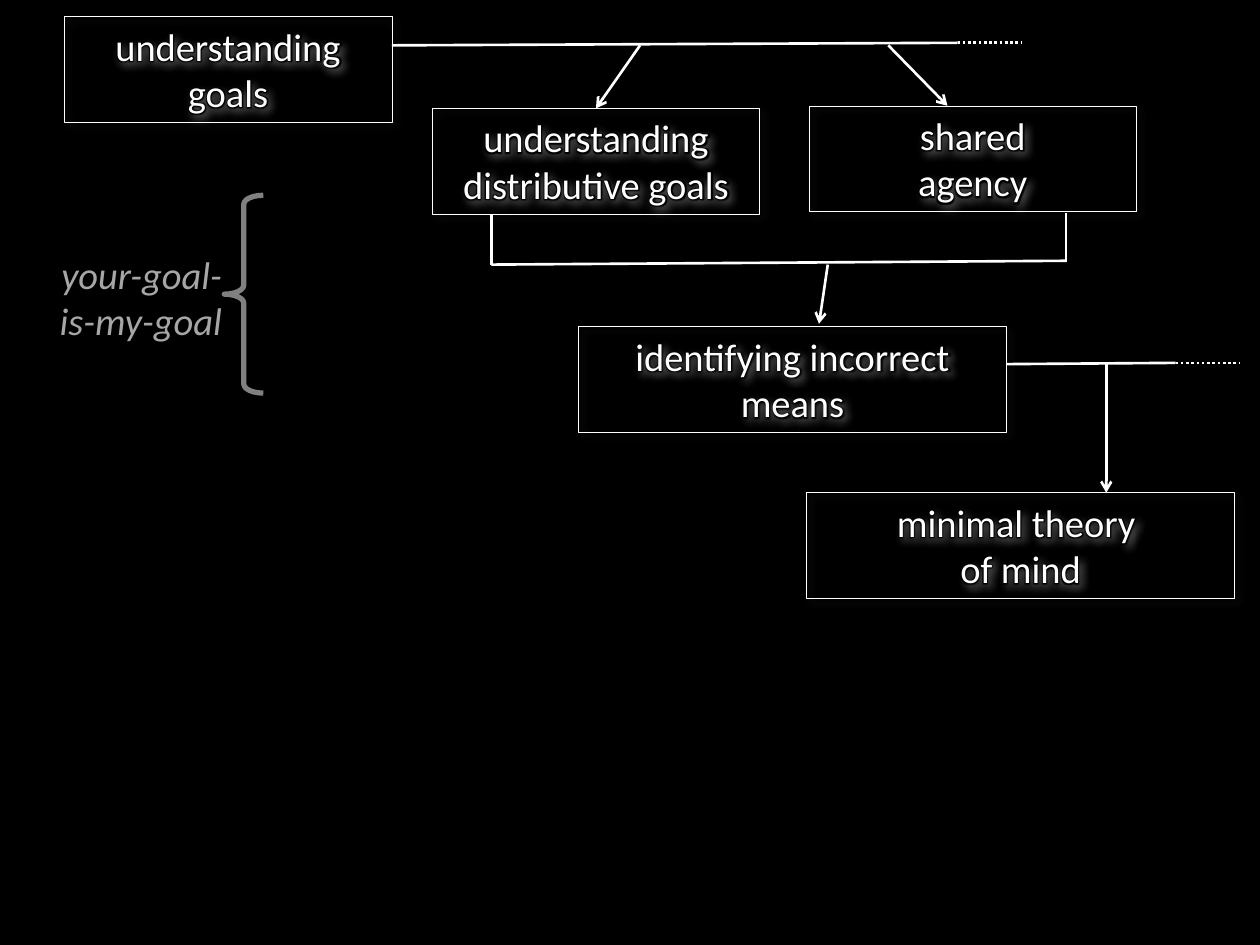
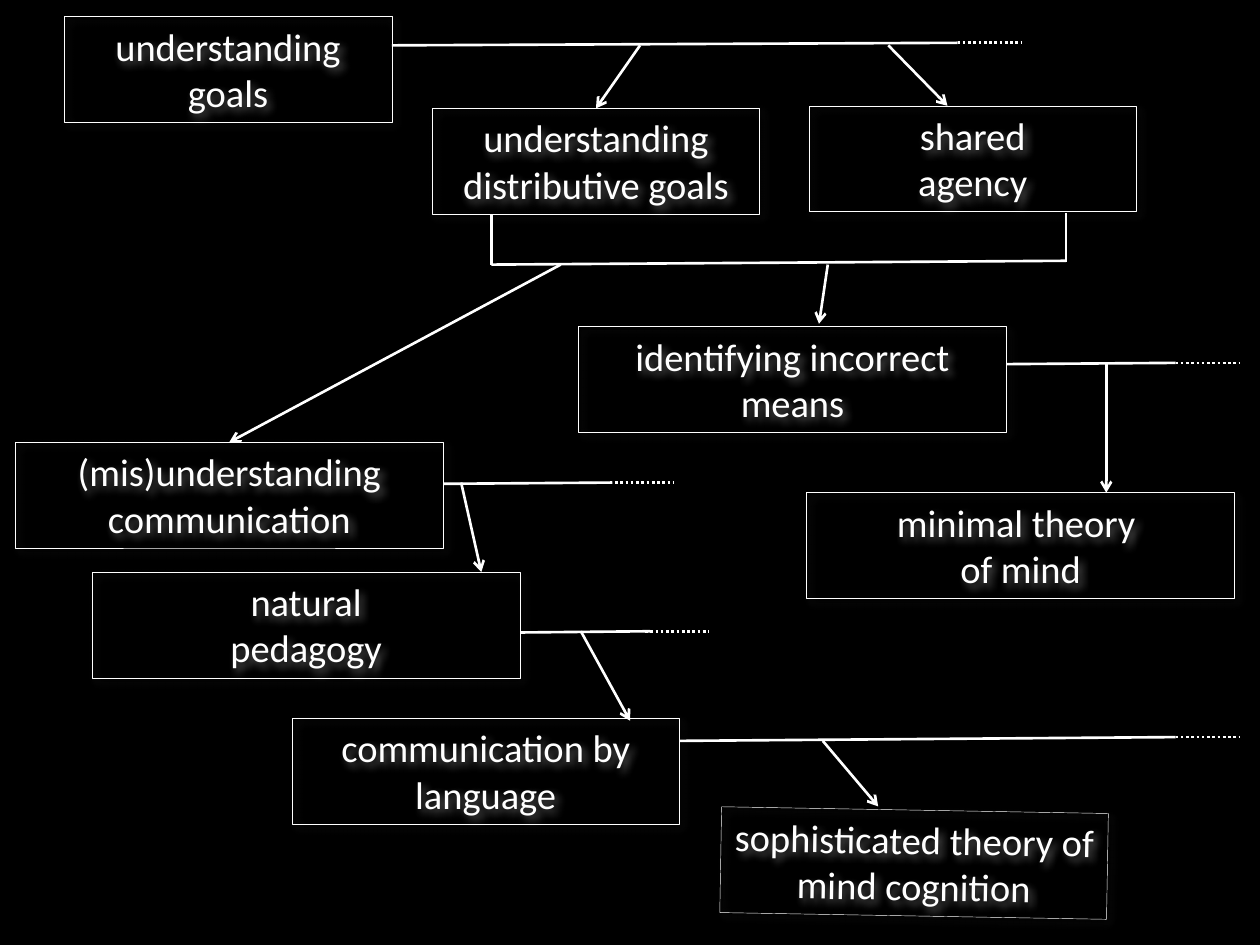
"""Build two slides that chart how goal understanding leads to theory of mind."""
from dataclasses import dataclass

from lxml import etree
from pptx import Presentation
from pptx import util as u
from pptx.dml.color import RGBColor
from pptx.enum import dml, shapes, text
from pptx.oxml import parse_xml
from pptx.oxml.ns import nsdecls, qn


@dataclass(frozen=True)
class Theme:
    font: str = "Calibri"
    size: u.Length = u.Pt(22)
    background: RGBColor = RGBColor(0, 0, 0)
    ink: RGBColor = RGBColor(255, 255, 255)
    brace: RGBColor = RGBColor(0x80, 0x80, 0x80)
    label: RGBColor = RGBColor(0xA6, 0xA6, 0xA6)
    border: u.Length = u.Pt(0.25)
    link: u.Length = u.Pt(1.5)
    brace_line: u.Length = u.Pt(3)


theme = Theme()
BOX_HEIGHT = 0.84
DOTS = 0.51
SHADOW = (
    f'<a:outerShdw {nsdecls("a")} blurRad="63500" dist="38100" dir="2700000" algn="tl" rotWithShape="0">'
    f'<a:srgbClr val="{theme.brace}"><a:alpha val="75000"/></a:srgbClr></a:outerShdw>'
)
TEXT_GLOW = f'<a:effectLst {nsdecls("a")}><a:glow rad="50800"><a:srgbClr val="{theme.background}"/></a:glow></a:effectLst>'

shared_boxes = [
    ("understanding goals", 0.51, 0.13, 2.6, 0),
    ("understanding distributive goals", 3.43, 0.86, 2.6, 0),
    ("identifying incorrect means", 4.59, 2.59, 3.4, 0),
    ("minimal theory \nof mind", 6.4, 3.91, 3.4, 0),
    ("shared\nagency", 6.42, 0.84, 2.6, 0),
]
communication_boxes = [
    ("(mis)understanding communication", 0.12, 3.51, 3.4, 0),
    ("communication by language", 2.32, 5.7, 3.07, 0),
    ("sophisticated theory of mind cognition", 5.72, 6.43, 3.07, 1),
    ("natural\npedagogy", 0.73, 4.54, 3.4, 0),
]
shared_lines = [
    (3.11, 0.36, 7.6, 0.34),
    (7.99, 2.89, 9.33, 2.88),
    (3.9, 2.1, 8.46, 2.07),
    (3.9, 2.1, 3.9, 1.7),
    (8.46, 2.08, 8.46, 1.69),
]
communication_lines = [
    (5.39, 5.88, 9.33, 5.85),
    (3.52, 3.84, 4.86, 3.83),
    (4.13, 5.02, 5.16, 5.01),
]
shared_dots = [(7.6, 0.34), (9.33, 2.88)]
communication_dots = [(9.33, 5.85), (4.84, 3.83), (5.12, 5.01)]
shared_arrows = [
    (5.08, 0.36, 4.73, 0.86, "understanding distributive goals"),
    (6.57, 2.1, 6.5, 2.57, None),
    (7.05, 0.36, 7.52, 0.84, None),
    (8.78, 2.88, 8.78, 3.91, None),
]
communication_arrows = [
    (4.45, 2.1, 1.82, 3.51, "(mis)understanding communication"),
    (6.53, 5.88, 6.97, 6.4, None),
    (4.61, 5.01, 5, 5.72, None),
    (3.66, 3.83, 3.82, 4.54, None),
]


def write(shape, wording, color, alignment, italic=None):
    frame = shape.text_frame
    frame.word_wrap = True
    frame.vertical_anchor = text.MSO_ANCHOR.TOP
    frame.auto_size = text.MSO_AUTO_SIZE.SHAPE_TO_FIT_TEXT
    paragraph = frame.paragraphs[0]
    paragraph.text = wording
    paragraph.alignment = alignment
    paragraph.font.name = theme.font
    paragraph.font.size = theme.size
    paragraph.font.color.rgb = color
    paragraph.font.italic = italic
    return paragraph


def connect(slide, ends):
    connector = slide.shapes.add_connector(shapes.MSO_CONNECTOR.STRAIGHT, *map(u.Inches, ends))
    connector.line.color.rgb = theme.ink
    connector.line.width = theme.link
    etree.SubElement(connector._element.spPr, qn("a:effectLst"))
    return connector


presentation = Presentation()
presentation.slide_width = u.Inches(10)
presentation.slide_height = u.Inches(7.5)

scenes = [
    (shared_boxes, shared_lines, shared_dots, shared_arrows),
    (
        shared_boxes + communication_boxes,
        shared_lines + communication_lines,
        shared_dots + communication_dots,
        shared_arrows + communication_arrows,
    ),
]
for number, (boxes, lines, dots, arrows) in enumerate(scenes, 1):
    slide = presentation.slides.add_slide(presentation.slide_layouts[6])
    slide.background.fill.solid()
    slide.background.fill.fore_color.rgb = theme.background

    box_by_wording = {}
    for wording, left, top, width, rotation in boxes:
        box = slide.shapes.add_shape(
            shapes.MSO_SHAPE.RECTANGLE, *map(u.Inches, (left, top, width, BOX_HEIGHT))
        )
        box.rotation = rotation
        box.fill.background()
        box.line.color.rgb = theme.ink
        box.line.width = theme.border
        box.shadow.inherit = False
        box._element.spPr.find(qn("a:effectLst")).append(parse_xml(SHADOW))
        paragraph = write(box, wording, theme.ink, text.PP_ALIGN.CENTER)
        if number == 1:
            for run in paragraph.runs:
                run._r.get_or_add_rPr().append(parse_xml(TEXT_GLOW))
        box_by_wording[wording] = box

    for ends in lines:
        connect(slide, ends)
    for left, top in dots:
        connect(slide, (left, top, left + DOTS, top)).line.dash_style = dml.MSO_LINE.ROUND_DOT
    for *ends, target in arrows:
        arrow = connect(slide, ends)
        etree.SubElement(arrow.line._get_or_add_ln(), qn("a:tailEnd"), type="arrow")
        if target:
            arrow.end_connect(box_by_wording[target], 0)

    if number == 1:
        brace = slide.shapes.add_shape(
            shapes.MSO_SHAPE.LEFT_BRACE, *map(u.Inches, (1.78, 1.55, 0.31, 1.57))
        )
        brace.adjustments[0] = 0.23
        brace.fill.background()
        brace.line.color.rgb = theme.brace
        brace.line.width = theme.brace_line
        brace.shadow.inherit = False
        label = slide.shapes.add_textbox(*map(u.Inches, (0.2, 1.94, 1.66, BOX_HEIGHT)))
        write(label, "your-goal-is-my-goal", theme.label, text.PP_ALIGN.RIGHT, italic=True)

presentation.save("out.pptx")
